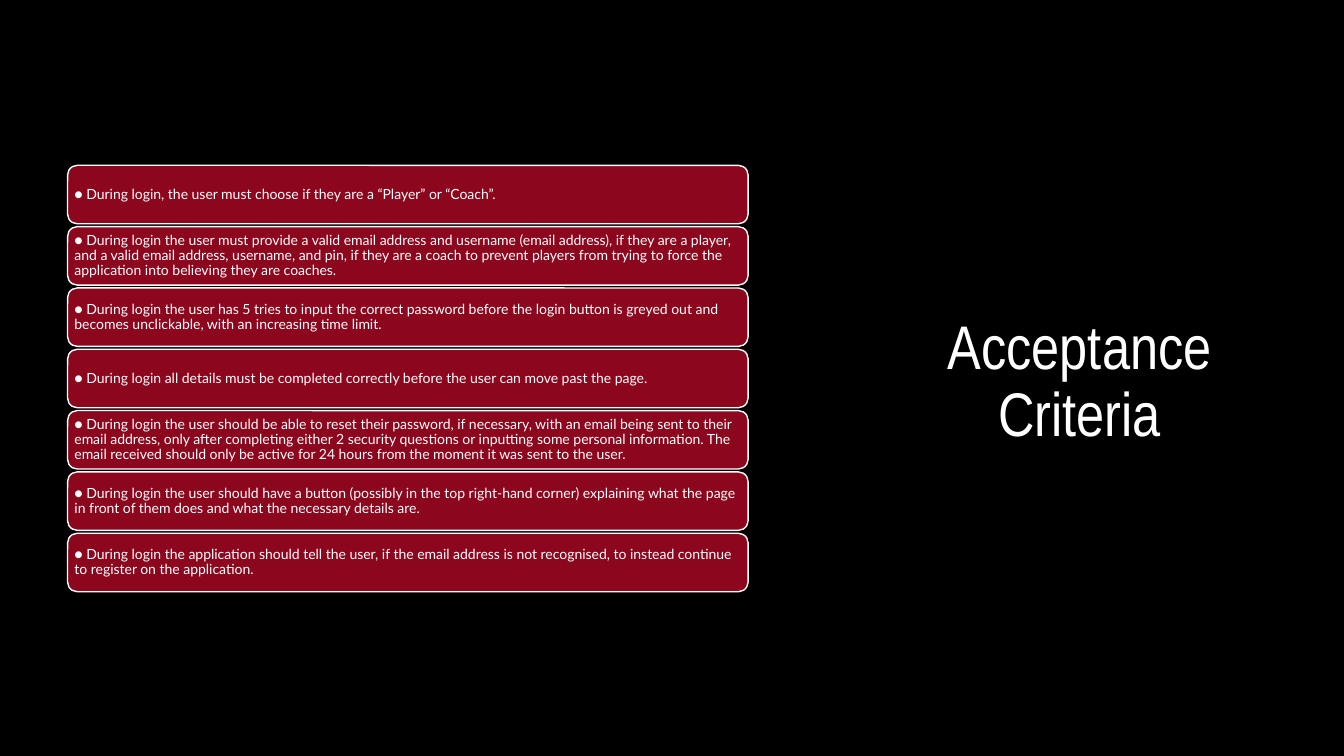
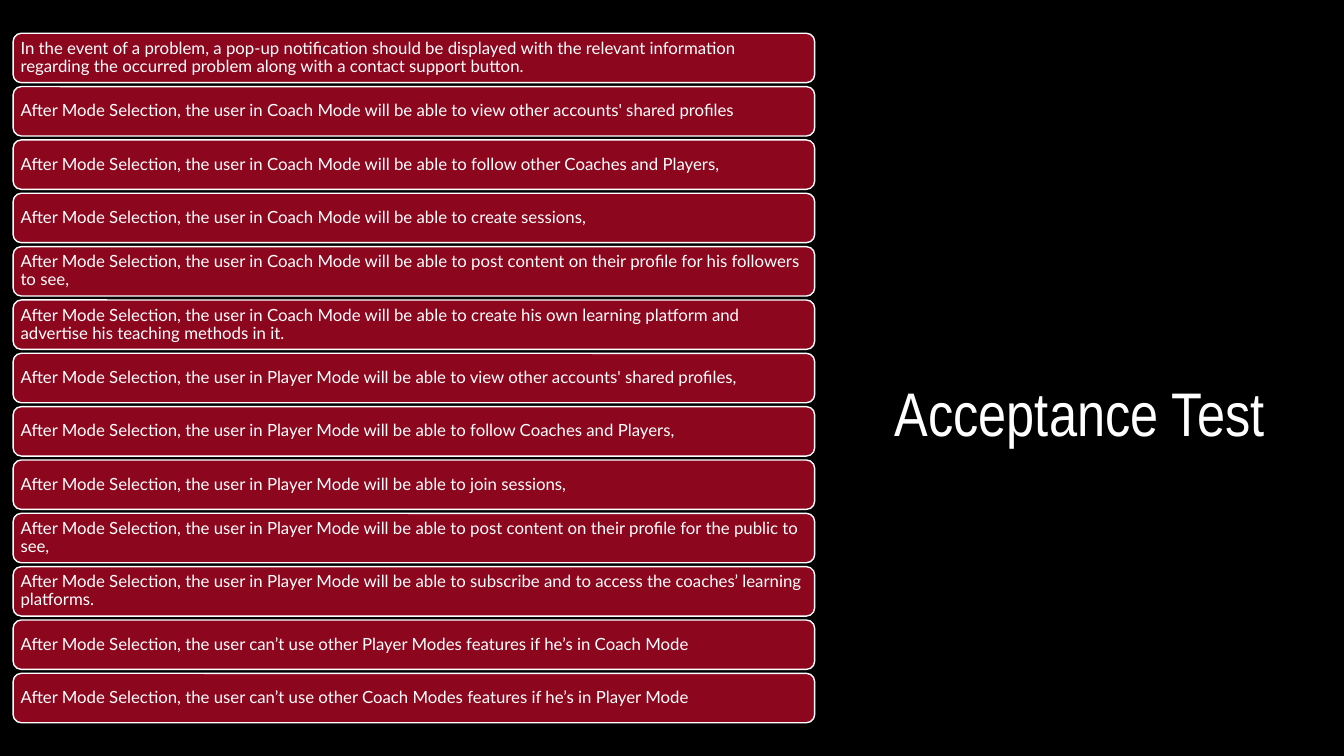
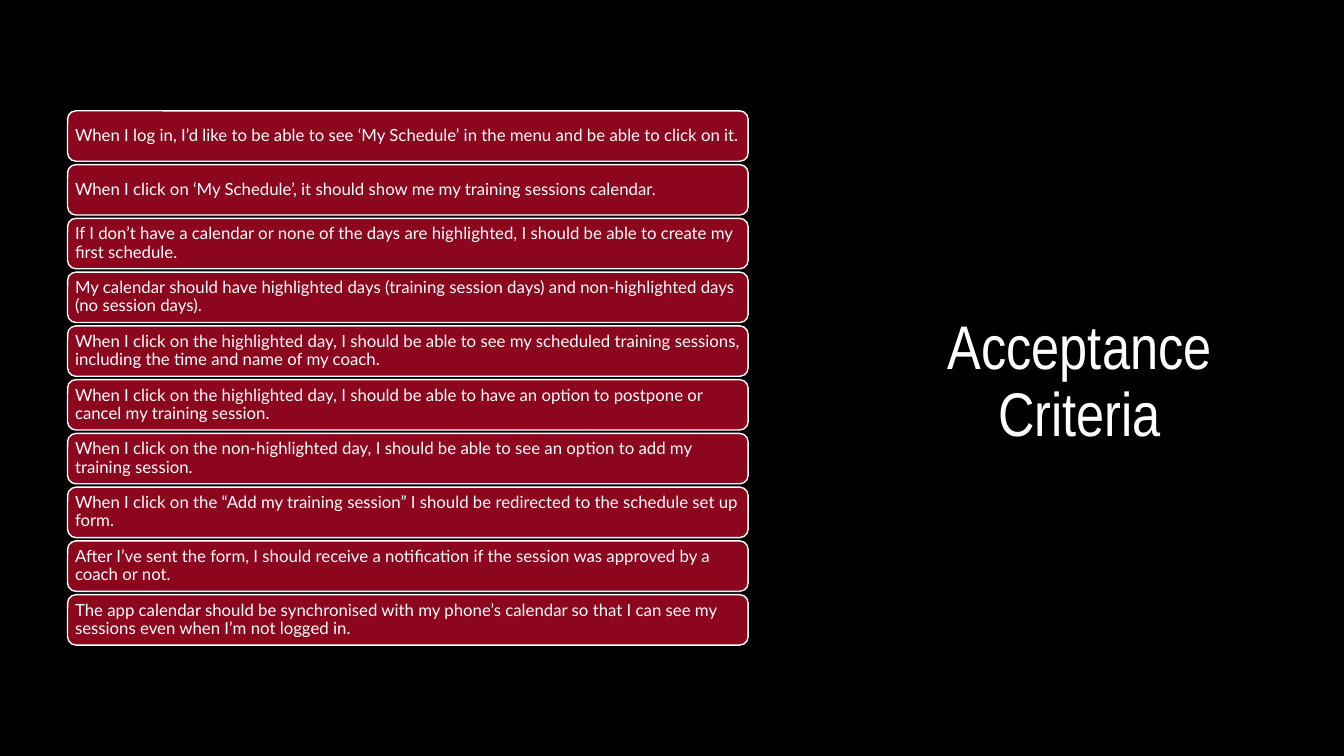
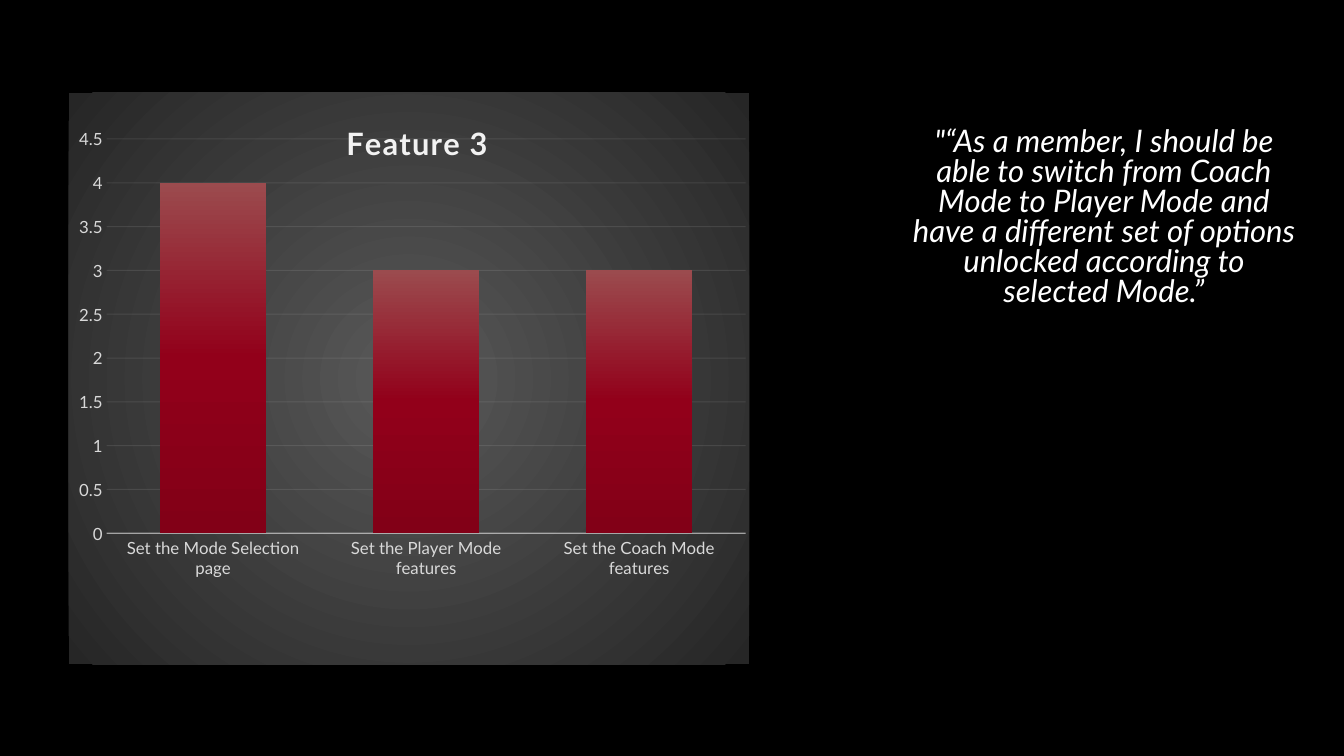
from dataclasses import dataclass

from pptx import Presentation
from pptx import oxml
from pptx import util as u
from pptx.chart import data as chart_data
from pptx.dml.color import RGBColor
from pptx.enum import chart as chart_enum, shapes, text
from pptx.oxml import ns


@dataclass(frozen=True)
class Theme:
    # Colours
    background: str = "000000"
    white: str = "FFFFFF"
    card: str = "8C061E"
    label: str = "D9D9D9"
    rule: str = "F2F2F2"
    bar_stops: tuple = ((0, "9B4B4E"), (50, "92001A"), (100, "820017"))
    panel_stops: tuple = ((0, "595959"), (100, "262626"))
    # Fonts and type sizes
    heading_font: str = "Arial Narrow"
    body_font: str = "Lato"
    heading_size: float = 44
    story_size: float = 22.2
    chart_title_size: float = 22
    label_size: float = 12
    small_size: float = 10


def set_font(font, color, **values):
    """Set font attributes from format values; size is in points."""
    values["size"] = u.Pt(values["size"])
    for name, value in values.items():
        setattr(font, name, value)
    font.color.rgb = RGBColor.from_string(color)


def set_line(chart_format, color, width, alpha):
    """Draw a chart line with an opacity in percent."""
    line = chart_format.line
    line.color.rgb = RGBColor.from_string(color)
    line.width = u.Pt(width)
    color_node = next(chart_format._element.spPr.iter(ns.qn("a:srgbClr")))
    color_node.append(oxml.parse_xml(
        f'<a:alpha {ns.nsdecls("a")} val="{alpha * 1000}"/>'))


def gradient(stops, direction):
    stop_nodes = "".join(
        f'<a:gs pos="{place * 1000}"><a:srgbClr val="{color}"/></a:gs>'
        for place, color in stops)
    return oxml.parse_xml(
        f'<a:gradFill {ns.nsdecls("a")}><a:gsLst>{stop_nodes}</a:gsLst>'
        f'{direction}</a:gradFill>')


def set_layout(parent, index, **values):
    """Give a chart part a manual place, in fractions of the chart."""
    for old in parent.findall(ns.qn("c:layout")):
        parent.remove(old)
    nodes = "".join(f'<c:{name} val="{value}"/>' for name, value in values.items())
    parent.insert(index, oxml.parse_xml(
        f'<c:layout {ns.nsdecls("c")}><c:manualLayout>{nodes}'
        '</c:manualLayout></c:layout>'))


class Builder:
    def __init__(self, theme):
        self.theme = theme
        self.page = None
        self.deck = Presentation()
        self.deck.slide_width = u.Inches(13.33)
        self.deck.slide_height = u.Inches(7.5)
        fill = self.deck.slide_master.background.fill
        fill.solid()
        fill.fore_color.rgb = RGBColor.from_string(theme.background)

    def new_page(self):
        self.page = self.deck.slides.add_slide(self.deck.slide_layouts[6])

    def set_text(self, box, words, frame_format, para_format, font_format):
        frame = box.text_frame
        para = frame.paragraphs[0]
        for target, values in ((frame, {"word_wrap": True, **frame_format}),
                               (para, para_format)):
            for name, value in values.items():
                setattr(target, name, value)
        span = para.add_run()
        span.text = words
        set_font(span.font, self.theme.white, **font_format)

    def text_box(self, words, place, anchor, spacing, **font_format):
        box = self.page.shapes.add_textbox(*map(u.Inches, place))
        self.set_text(box, words, {"vertical_anchor": anchor},
                      {"alignment": text.PP_ALIGN.CENTER, "line_spacing": spacing},
                      font_format)

    def title(self, words):
        self.text_box(words, (8.71, 2.18, 4, 2.33), text.MSO_ANCHOR.BOTTOM, 0.9,
                      name=self.theme.heading_font, size=self.theme.heading_size)

    def story(self, words):
        self.text_box(words, (8.95, 1.23, 4, 1.89), text.MSO_ANCHOR.TOP, 0.8,
                      name=self.theme.body_font, size=self.theme.story_size,
                      italic=True)

    def card(self, words, place, size, inset):
        box = self.page.shapes.add_shape(
            shapes.MSO_SHAPE.ROUNDED_RECTANGLE, *map(u.Inches, place))
        box.shadow.inherit = False
        box.fill.solid()
        box.fill.fore_color.rgb = RGBColor.from_string(self.theme.card)
        box.line.color.rgb = RGBColor.from_string(self.theme.white)
        box.line.width = u.Pt(1)
        frame_format = {f"margin_{side}": u.Inches(inset)
                        for side in ("left", "top", "right", "bottom")}
        frame_format["vertical_anchor"] = text.MSO_ANCHOR.MIDDLE
        self.set_text(box, words, frame_format,
                      {"alignment": text.PP_ALIGN.LEFT, "line_spacing": 0.9},
                      {"name": self.theme.body_font, "size": size})

    def card_stack(self, items, left, width, height, first, last, size, inset):
        """Stack equal cards evenly between the first and last top edges."""
        step = (last - first) / (len(items) - 1)
        for row, words in enumerate(items):
            self.card(words, (left, first + row * step, width, height), size, inset)

    def column_chart(self, heading, values, place):
        theme = self.theme
        source = chart_data.CategoryChartData()
        source.categories = list(values)
        source.add_series("Series 1", list(values.values()))
        chart = self.page.shapes.add_chart(
            chart_enum.XL_CHART_TYPE.COLUMN_CLUSTERED,
            *map(u.Inches, place), source).chart
        chart.has_legend = False
        set_font(chart.font, theme.white, name=theme.body_font, size=theme.small_size)

        # Panel behind the chart
        panel = oxml.parse_xml(f'<c:spPr {ns.nsdecls("c", "a")}/>')
        panel.append(gradient(theme.panel_stops, (
            '<a:path path="circle"><a:fillToRect l="50000" t="50000"'
            ' r="50000" b="50000"/></a:path>')))
        chart._chartSpace.chart.addnext(panel)

        # Heading
        chart.has_title = True
        para = chart.chart_title.text_frame.paragraphs[0]
        span = para.add_run()
        span.text = heading
        set_font(span.font, theme.rule, name=theme.body_font,
                 size=theme.chart_title_size, bold=True)
        span.font._element.set("spc", "100")
        set_layout(chart.chart_title._element, 1,
                   xMode="edge", yMode="edge", x=0.4, y=0.04)

        # Columns
        set_layout(chart._chartSpace.chart.plotArea, 0, layoutTarget="inner",
                   xMode="edge", yMode="edge", x=0.056, y=0.081, w=0.939, h=0.69)
        plot = chart.plots[0]
        for name, value in {"gap_width": 100, "overlap": -24,
                            "vary_by_categories": False}.items():
            setattr(plot, name, value)
        plot.series[0]._element.get_or_add_spPr().append(
            gradient(theme.bar_stops, '<a:lin ang="5400000" scaled="0"/>'))

        # Axes
        for axis in (chart.category_axis, chart.value_axis):
            axis.major_tick_mark = chart_enum.XL_TICK_MARK.NONE
            axis.minor_tick_mark = chart_enum.XL_TICK_MARK.NONE
            set_font(axis.tick_labels.font, theme.label,
                     name=theme.body_font, size=theme.label_size)
        set_line(chart.category_axis.format, theme.rule, 1, 54)
        for name, value in {"minimum_scale": 0, "maximum_scale": 4.5,
                            "major_unit": 0.5}.items():
            setattr(chart.value_axis, name, value)
        chart.value_axis.format.line.fill.background()
        set_line(chart.value_axis.major_gridlines.format, theme.rule, 0.75, 10)


LOGIN_CRITERIA = [
    "● During login, the user must choose if they are a “Player” or “Coach”.",
    "● During login the user must provide a valid email address and username (email address), if they are a player, and a valid email address, username, and pin, if they are a coach to prevent players from trying to force the application into believing they are coaches.",
    "● During login the user has 5 tries to input the correct password before the login button is greyed out and becomes unclickable, with an increasing time limit.",
    "● During login all details must be completed correctly before the user can move past the page.",
    "● During login the user should be able to reset their password, if necessary, with an email being sent to their email address, only after completing either 2 security questions or inputting some personal information. The email received should only be active for 24 hours from the moment it was sent to the user.",
    "● During login the user should have a button (possibly in the top right-hand corner) explaining what the page in front of them does and what the necessary details are.",
    "● During login the application should tell the user, if the email address is not recognised, to instead continue to register on the application.",
]

MODE_TESTS = [
    "In the event of a problem, a pop-up notification should be displayed with the relevant information regarding the occurred problem along with a contact support button.",
    *(f"After Mode Selection, the user {rest}" for rest in (
        "in Coach Mode will be able to view other accounts' shared profiles",
        "in Coach Mode will be able to follow other Coaches and Players,",
        "in Coach Mode will be able to create sessions,",
        "in Coach Mode will be able to post content on their profile for his followers to see,",
        "in Coach Mode will be able to create his own learning platform and advertise his teaching methods in it.",
        "in Player Mode will be able to view other accounts' shared profiles,",
        "in Player Mode will be able to follow Coaches and Players,",
        "in Player Mode will be able to join sessions,",
        "in Player Mode will be able to post content on their profile for the public to see,",
        "in Player Mode will be able to subscribe and to access the coaches’ learning platforms.",
        "can’t use other Player Modes features if he’s in Coach Mode",
        "can’t use other Coach Modes features if he’s in Player Mode",
    )),
]

SCHEDULE_CRITERIA = [
    "When I log in, I’d like to be able to see ‘My Schedule’ in the menu and be able to click on it.",
    "When I click on ‘My Schedule’, it should show me my training sessions calendar.",
    "If I don’t have a calendar or none of the days are highlighted, I should be able to create my first schedule.",
    "My calendar should have highlighted days (training session days) and non-highlighted days (no session days).",
    "When I click on the highlighted day, I should be able to see my scheduled training sessions, including the time and name of my coach.",
    "When I click on the highlighted day, I should be able to have an option to postpone or cancel my training session.",
    "When I click on the non-highlighted day, I should be able to see an option to add my training session.",
    "When I click on the “Add my training session” I should be redirected to the schedule set up form.",
    "After I’ve sent the form, I should receive a notification if the session was approved by a coach or not.",
    "The app calendar should be synchronised with my phone’s calendar so that I can see my sessions even when I’m not logged in.",
]


def main():
    theme = Theme()
    builder = Builder(theme)

    # Card slides
    card_pages = (
        ("Acceptance Criteria", LOGIN_CRITERIA,
         dict(left=0.67, width=6.75, height=0.58, first=1.64, last=5.29,
              size=theme.small_size, inset=0.04)),
        ("Acceptance Test", MODE_TESTS,
         dict(left=0.13, width=7.95, height=0.49, first=0.33, last=6.68,
              size=theme.label_size, inset=0.05)),
        ("Acceptance Criteria", SCHEDULE_CRITERIA,
         dict(left=0.67, width=6.75, height=0.5, first=1.1, last=5.9,
              size=theme.label_size, inset=0.05)),
    )
    for heading, items, stack in card_pages:
        builder.new_page()
        builder.title(heading)
        builder.card_stack(items, **stack)

    # Feature chart slide
    builder.new_page()
    builder.column_chart("Feature 3", {
        "Set the Mode Selection page": 4,
        "Set the Player Mode features": 3,
        "Set the Coach Mode features": 3,
    }, (0.68, 0.92, 6.75, 5.67))
    builder.story("\"“As a member, I should be able to switch from Coach Mode to Player Mode and have a different set of options unlocked according to selected Mode.”")

    builder.deck.save("out.pptx")


if __name__ == "__main__":
    main()
